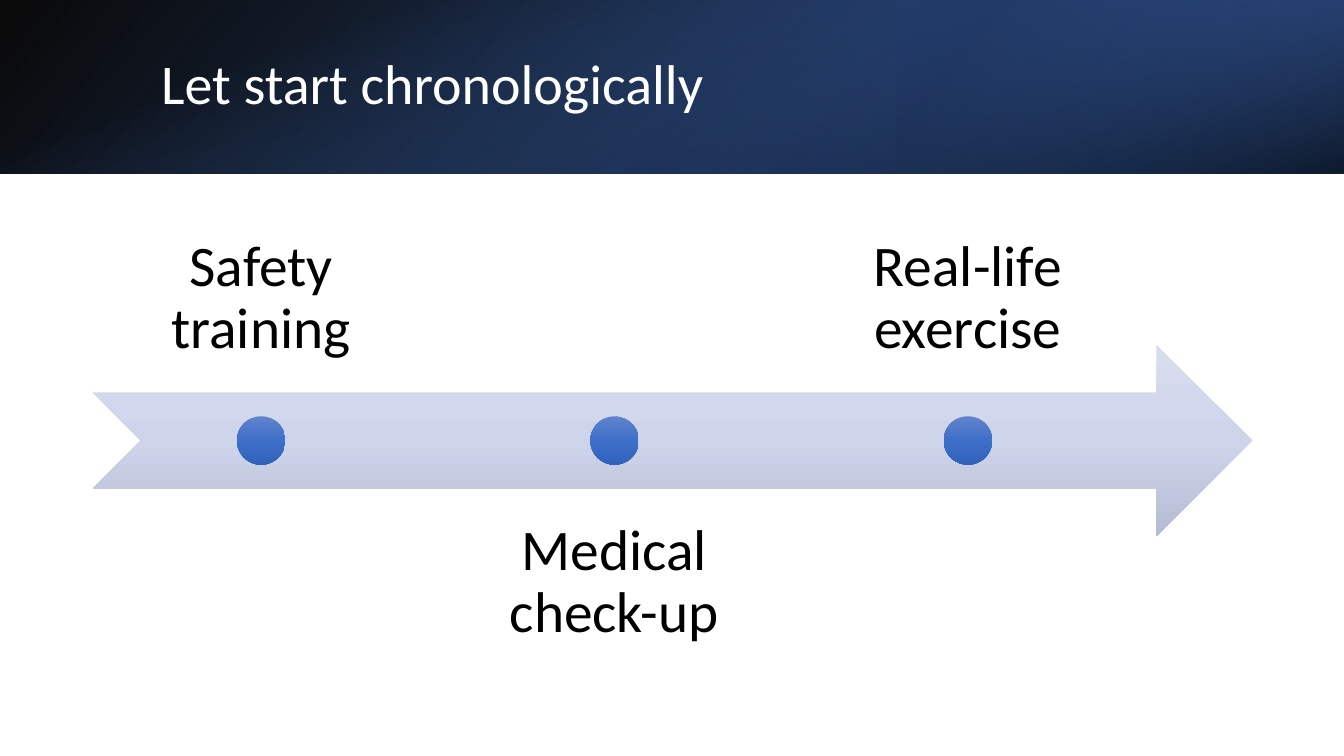
from typing import NamedTuple

from lxml import etree
from pptx import Presentation
from pptx.dml.color import RGBColor
from pptx.enum import shapes, text
from pptx.oxml.ns import qn
from pptx.util import Inches, Pt

BLACK = RGBColor(0x00, 0x00, 0x00)
WHITE = RGBColor(0xFF, 0xFF, 0xFF)
BLUE = RGBColor(0x44, 0x72, 0xC4)
DEEP_BLUE = RGBColor(0x2F, 0x55, 0x97)
NAVY = RGBColor(0x20, 0x38, 0x64)
ARROW_TOP = RGBColor(0xD8, 0xDD, 0xEE)
ARROW_MIDDLE = RGBColor(0xCE, 0xD5, 0xEB)
ARROW_BOTTOM = RGBColor(0xB5, 0xBC, 0xD3)
DOT_TOP = RGBColor(0x61, 0x83, 0xCB)
DOT_MIDDLE = RGBColor(0x3E, 0x70, 0xCA)
DOT_BOTTOM = RGBColor(0x30, 0x62, 0xBB)


class Box(NamedTuple):
    left: float
    top: float
    width: float
    height: float


class Stop(NamedTuple):
    position: int
    color: RGBColor
    opacity: int = 100


class Gradient(NamedTuple):
    angle: int
    stops: list[Stop]


class Band(NamedTuple):
    box: Box
    gradient: Gradient
    rotation: int
    flipped: bool


class Milestone(NamedTuple):
    label: str
    top: float
    anchor: text.MSO_ANCHOR


SLIDE_WIDTH, SLIDE_HEIGHT = 13.33, 7.5
HEADER_HEIGHT = 1.72
TITLE_BOX = Box(1.5, 0.38, 10.98, 0.96)
ARROW_BOX = Box(0.92, 3.42, 11.5, 1.9)
LABEL_WIDTH = 3.34
LABEL_PITCH = 3.505
DOT_SIZE = 0.48

ARROW_GRADIENT = Gradient(
    90, [Stop(0, ARROW_TOP), Stop(50, ARROW_MIDDLE), Stop(100, ARROW_BOTTOM)])
DOT_GRADIENT = Gradient(
    90, [Stop(0, DOT_TOP), Stop(50, DOT_MIDDLE), Stop(100, DOT_BOTTOM)])

HEADER_BANDS = [
    Band(Box(0, 0, SLIDE_WIDTH, HEADER_HEIGHT),
         Gradient(140, [Stop(0, BLACK, 96), Stop(100, DEEP_BLUE)]), 0, True),
    Band(Box(8.89, 0, 4.44, HEADER_HEIGHT),
         Gradient(320, [Stop(19, NAVY, 68), Stop(100, BLUE, 79)]), 180, True),
    Band(Box((SLIDE_WIDTH - HEADER_HEIGHT) / 2, (HEADER_HEIGHT - SLIDE_WIDTH) / 2,
             HEADER_HEIGHT, SLIDE_WIDTH),
         Gradient(340, [Stop(23, BLUE, 0), Stop(99, BLACK, 74)]), 90, False),
]

MILESTONES = [
    Milestone("Safety training", 2, text.MSO_ANCHOR.BOTTOM),
    Milestone("Medical check-up", 4.85, text.MSO_ANCHOR.TOP),
    Milestone("Real-life exercise", 2, text.MSO_ANCHOR.BOTTOM),
]


def add_gradient_shape(slide, kind: shapes.MSO_SHAPE, box: Box, gradient: Gradient):
    shape = slide.shapes.add_shape(kind, *map(Inches, box))
    shape.shadow.inherit = False
    shape.line.fill.background()
    shape.fill.gradient()
    fill = shape._element.spPr.find(qn("a:gradFill"))
    fill.find(qn("a:lin")).set("ang", str(gradient.angle * 60000))
    stop_list = fill.find(qn("a:gsLst"))
    del stop_list[:]
    for stop in gradient.stops:
        entry = etree.SubElement(stop_list, qn("a:gs"), pos=str(stop.position * 1000))
        color = etree.SubElement(entry, qn("a:srgbClr"), val=str(stop.color))
        if stop.opacity < 100:
            etree.SubElement(color, qn("a:alpha"), val=str(stop.opacity * 1000))
    return shape


def add_band(slide, band: Band) -> None:
    shape = add_gradient_shape(slide, shapes.MSO_SHAPE.RECTANGLE, band.box, band.gradient)
    shape.rotation = band.rotation
    if band.flipped:
        shape._element.spPr.find(qn("a:xfrm")).set("flipH", "1")


def add_text(slide, box: Box, words: str, frame_format: dict, font_format: dict,
             alignment: text.PP_ALIGN) -> None:
    frame = slide.shapes.add_textbox(*map(Inches, box)).text_frame
    for name, value in {"word_wrap": True, **frame_format}.items():
        setattr(frame, name, value)
    paragraph = frame.paragraphs[0]
    paragraph.alignment = alignment
    paragraph.line_spacing = 0.9
    run = paragraph.add_run()
    run.text = words
    for name, value in {"name": "Calibri", **font_format}.items():
        if name == "color":
            run.font.color.rgb = value
        else:
            setattr(run.font, name, value)


def add_milestone(slide, index: int, milestone: Milestone) -> None:
    left = ARROW_BOX.left + index * LABEL_PITCH
    margins = {f"margin_{side}": Inches(0.32) for side in ("left", "top", "right", "bottom")}
    add_text(slide, Box(left, milestone.top, LABEL_WIDTH, ARROW_BOX.height),
             milestone.label, {"vertical_anchor": milestone.anchor, **margins},
             {"size": Pt(41), "color": BLACK}, text.PP_ALIGN.CENTER)
    dot_box = Box(left + (LABEL_WIDTH - DOT_SIZE) / 2,
                  ARROW_BOX.top + (ARROW_BOX.height - DOT_SIZE) / 2, DOT_SIZE, DOT_SIZE)
    add_gradient_shape(slide, shapes.MSO_SHAPE.OVAL, dot_box, DOT_GRADIENT)


def main() -> None:
    deck = Presentation()
    deck.slide_width, deck.slide_height = Inches(SLIDE_WIDTH), Inches(SLIDE_HEIGHT)
    slide = deck.slides.add_slide(deck.slide_layouts[6])
    for band in HEADER_BANDS:
        add_band(slide, band)
    add_text(slide, TITLE_BOX, "Let start chronologically",
             {"vertical_anchor": text.MSO_ANCHOR.MIDDLE},
             {"size": Pt(40), "color": WHITE}, text.PP_ALIGN.LEFT)
    add_gradient_shape(slide, shapes.MSO_SHAPE.NOTCHED_RIGHT_ARROW, ARROW_BOX, ARROW_GRADIENT)
    for index, milestone in enumerate(MILESTONES):
        add_milestone(slide, index, milestone)
    deck.save("out.pptx")


main()
